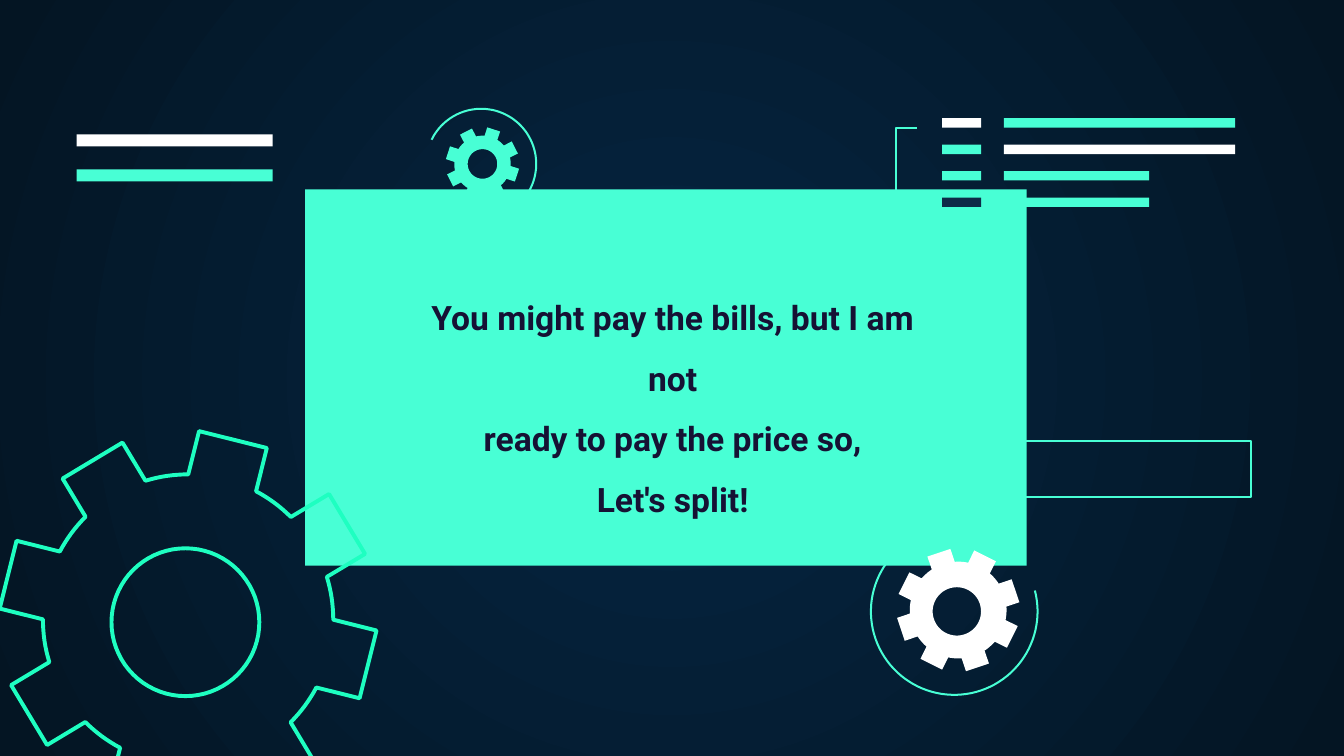
"""Build a dark quote slide with a mint panel, gears and bars."""
from dataclasses import dataclass
from math import asin, cos, degrees, radians, sin

from lxml import etree
from pptx import Presentation
from pptx.dml.color import RGBColor
from pptx.enum.shapes import MSO_SHAPE
from pptx.enum.text import MSO_ANCHOR, MSO_AUTO_SIZE, PP_ALIGN
from pptx.oxml.ns import qn
from pptx.util import Inches, Pt

RECTANGLE = MSO_SHAPE.RECTANGLE
CENTER = PP_ALIGN.CENTER
TOP = MSO_ANCHOR.TOP
NO_AUTOFIT = MSO_AUTO_SIZE.NONE


@dataclass(frozen=True)
class Theme:
    mint: str = "48FFD5"
    green: str = "1EFFC1"
    white: str = "FFFFFF"
    navy: str = "0E2A47"
    ink: str = "161234"
    glow: str = "052643"
    edge: str = "041523"
    font: str = "Roboto"
    quote_size: float = 18
    thin: float = 1.09
    thick: float = 2.1


THEME = Theme()
WIDTH = 10
HEIGHT = WIDTH * 9 / 16
QUOTE = [
    "You might pay the bills, but I am not",
    "ready to pay the price so,",
    "Let's split!",
]
QUOTE_BOX = (2.93, 1.96, 4.15, 1.55)
PANEL = (2.27, 1.41, 5.37, 2.8)
FRAME = (7.2, 3.28, 2.11, 0.42)
BRACKET = [(6.83, 1.56), (6.67, 1.56), (6.67, 0.95), (6.82, 0.95)]

HEADER_BARS = [THEME.white, THEME.mint]
LIST_BARS = [
    (THEME.white, THEME.mint, 1.72),
    (THEME.mint, THEME.white, 1.72),
    (THEME.mint, THEME.mint, 1.08),
    (THEME.navy, THEME.mint, 1.08),
]
HEADER_LEFT, HEADER_TOP, HEADER_PITCH = 0.57, 1, 0.26
LIST_LEFT, LIST_TOP, LIST_BOTTOM, LIST_INDENT = 7.01, 0.88, 1.47, 0.46
LIST_PITCH = (LIST_BOTTOM - LIST_TOP) / (len(LIST_BARS) - 1)

ORBITS = [
    dict(center=(3.58, 1.22), radius=0.41, start=206, end=455),
    dict(center=(7.1, 4.55), radius=0.62, start=-14.6, end=232.8),
]
TEETH = 8
GEARS = [
    dict(center=(1.4, 4.61), hub=(1.38, 4.63), tip=1.38, body=1.08,
         half_tooth=0.26, hole=0.55, phase=14, line=THEME.green),
    dict(center=(7.13, 4.54), hub=(7.12, 4.55), tip=0.45, body=0.36,
         half_tooth=0.09, hole=0.18, phase=26.4, fill=THEME.white),
    dict(center=(3.59, 1.22), hub=(3.59, 1.22), tip=0.27, body=0.21,
         half_tooth=0.05, hole=0.11, phase=18, fill=THEME.mint),
]


def paint(shape, fill=None, line=None, weight=THEME.thin):
    shape.shadow.inherit = False
    if fill:
        shape.fill.solid()
        shape.fill.fore_color.rgb = RGBColor.from_string(fill)
    else:
        shape.fill.background()
    if line:
        shape.line.color.rgb = RGBColor.from_string(line)
        shape.line.width = Pt(weight)
    else:
        shape.line.fill.background()


def add_box(slide, bounds, **style):
    box = slide.shapes.add_shape(RECTANGLE, *(Inches(side) for side in bounds))
    paint(box, **style)


def add_outline(slide, contours, closed=True, **style):
    contours = [[(Inches(x), Inches(y)) for x, y in contour] for contour in contours]
    builder = slide.shapes.build_freeform(*contours[0][0])
    for number, contour in enumerate(contours):
        if number:
            builder.move_to(*contour[0])
        builder.add_line_segments(contour[1:], close=closed)
    paint(builder.convert_to_shape(), **style)


def arc(center, radius, start, end, steps=72):
    angles = [radians(start + (end - start) * step / steps) for step in range(steps + 1)]
    return [(center[0] + radius * cos(a), center[1] + radius * sin(a)) for a in angles]


def add_gear(slide, center, hub, tip, body, half_tooth, hole, phase, fill=None, line=None):
    pitch = 360 / TEETH
    root = degrees(asin(half_tooth / body))
    rim = []
    for tooth in range(TEETH):
        middle = phase + tooth * pitch
        along = cos(radians(middle)), sin(radians(middle))
        for side in (-half_tooth, half_tooth):
            rim.append((center[0] + tip * along[0] - side * along[1],
                        center[1] + tip * along[1] + side * along[0]))
        rim += arc(center, body, middle + root, middle + pitch - root, 8)
    add_outline(slide, [rim, arc(hub, hole, 360, 0)],
                fill=fill, line=line, weight=THEME.thick)


def set_background(slide):
    fill = slide.background.fill
    fill.gradient()
    for stop, color in zip(fill.gradient_stops, (THEME.glow, THEME.edge)):
        stop.color.rgb = RGBColor.from_string(color)
    linear = next(slide.element.iter(qn("a:lin")))
    gradient = linear.getparent()
    gradient.remove(linear)
    radial = etree.SubElement(gradient, qn("a:path"), {"path": "circle"})
    etree.SubElement(radial, qn("a:fillToRect"), dict.fromkeys("ltrb", "50000"))


def add_bars(slide):
    for row, color in enumerate(HEADER_BARS):
        add_box(slide, (HEADER_LEFT, HEADER_TOP + row * HEADER_PITCH, 1.46, 0.09), fill=color)
    for row, (marker, entry, length) in enumerate(LIST_BARS):
        top = LIST_TOP + row * LIST_PITCH
        add_box(slide, (LIST_LEFT, top, 0.29, 0.07), fill=marker)
        add_box(slide, (LIST_LEFT + LIST_INDENT, top, length, 0.07), fill=entry)


def write_quote(quote):
    quote.left, quote.top, quote.width, quote.height = (Inches(side) for side in QUOTE_BOX)
    frame = quote.text_frame
    frame.text = "\n".join(QUOTE)
    frame.word_wrap = True
    frame.auto_size = NO_AUTOFIT
    frame.vertical_anchor = TOP
    frame.margin_left = frame.margin_right = Inches(0.1)
    frame.margin_top = frame.margin_bottom = Inches(0.1)
    for paragraph in frame.paragraphs:
        paragraph.alignment = CENTER
        paragraph.line_spacing = 1.5
        paragraph.space_before = Pt(0)
        paragraph.font.name = THEME.font
        paragraph.font.size = Pt(THEME.quote_size)
        paragraph.font.bold = True
        paragraph.font.color.rgb = RGBColor.from_string(THEME.ink)


def main():
    deck = Presentation()
    deck.slide_width, deck.slide_height = Inches(WIDTH), Inches(HEIGHT)
    slide = deck.slides.add_slide(deck.slide_layouts[0])
    title, quote = slide.placeholders
    layers = quote.element.getparent()
    layers.remove(title.element)
    set_background(slide)
    add_box(slide, PANEL, fill=THEME.mint)
    for orbit in ORBITS:
        add_outline(slide, [arc(**orbit)], closed=False, line=THEME.mint)
    for gear in GEARS:
        add_gear(slide, **gear)
    add_bars(slide)
    add_outline(slide, [BRACKET], closed=False, line=THEME.mint)
    add_box(slide, FRAME, line=THEME.mint)
    write_quote(quote)
    layers.append(quote.element)
    deck.save("out.pptx")


if __name__ == "__main__":
    main()
